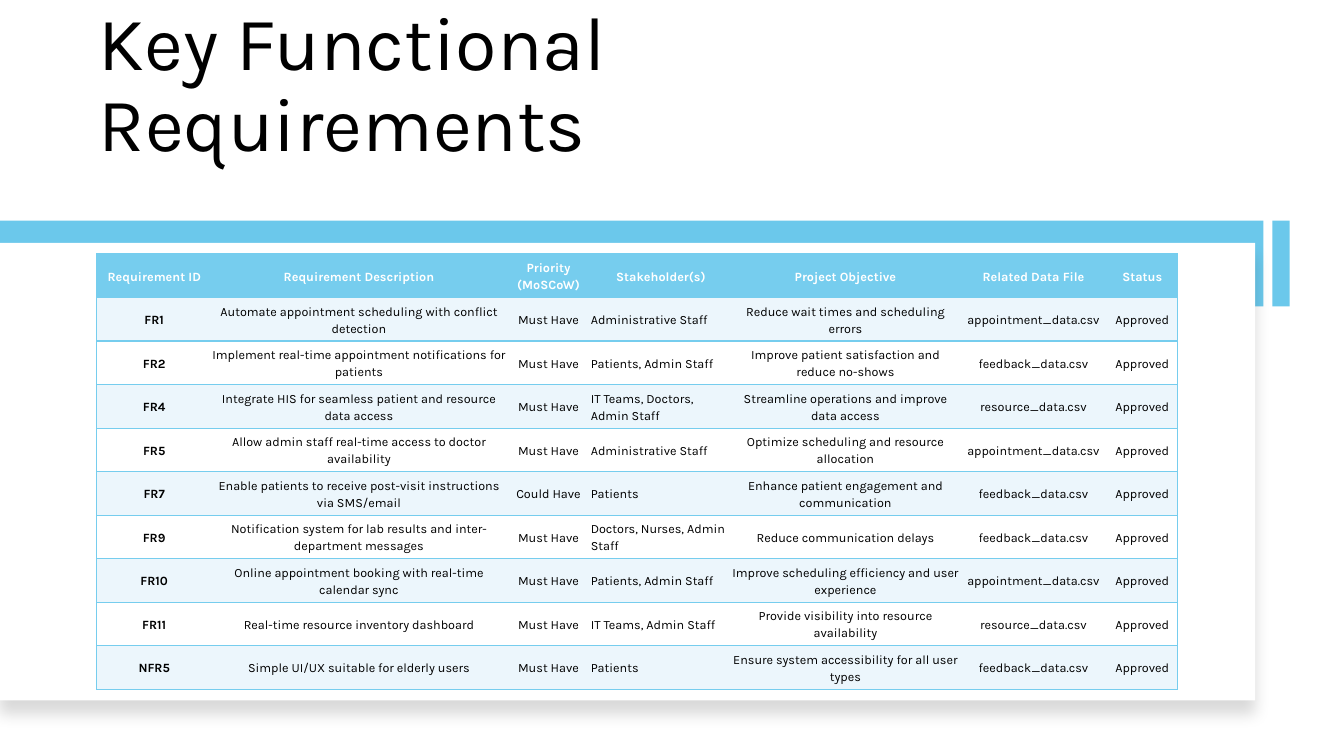
from dataclasses import astuple, dataclass

from lxml import etree
from pptx import Presentation, util as u
from pptx.dml.color import RGBColor
from pptx.enum import shapes, text
from pptx.oxml import ns

WIDE, HIGH = u.Inches(13.33), u.Inches(7.5)
FONT = "Karla"
INK = {"bar": "6BC8EB", "head": "76CDEE", "band": "ECF6FC",
       "white": "FFFFFF", "black": "000000"}
MID, LEFT = text.PP_ALIGN.CENTER, text.PP_ALIGN.LEFT


@dataclass
class Box:
    """Place and size as percent of the slide's width and height."""
    x: float
    y: float
    w: float
    h: float

    def emu(self) -> tuple:
        return across(self.x), down(self.y), across(self.w), down(self.h)


@dataclass
class Need:
    code: str
    task: str
    staff: str
    goal: str
    data: str
    rank: str = "Must Have"
    state: str = "Approved"

    def cells(self) -> tuple:
        return (self.code, self.task, self.rank, self.staff,
                self.goal, self.data, self.state)


TITLE = Box(6.6, 5.6, 75.77, 17.33)
TAB = Box(92.12, 33.73, 6.38, 2.27)
BAR = Box(0, 29.2, 94, 11.33)
PANEL = Box(0, 32.13, 93.4, 60.53)
GRID = Box(7.2, 33.6, 80.42, 57.6)
COLS = (8.55, 21.91, 6.3, 10.43, 17.03, 10.95, 5.25)
STAFF = 3  # the left-aligned column

BOOK, VIEWS, STOCK = ("appointment_data.csv", "feedback_data.csv",
                      "resource_data.csv")
NEEDS = [
    Need("Requirement ID", "Requirement Description", "Stakeholder(s)",
         "Project Objective", "Related Data File", "Priority (MoSCoW)", "Status"),
    Need("FR1", "Automate appointment scheduling with conflict detection",
         "Administrative Staff", "Reduce wait times and scheduling errors", BOOK),
    Need("FR2", "Implement real-time appointment notifications for patients",
         "Patients, Admin Staff",
         "Improve patient satisfaction and reduce no-shows", VIEWS),
    Need("FR4", "Integrate HIS for seamless patient and resource data access",
         "IT Teams, Doctors, Admin Staff",
         "Streamline operations and improve data access", STOCK),
    Need("FR5", "Allow admin staff real-time access to doctor availability",
         "Administrative Staff", "Optimize scheduling and resource allocation", BOOK),
    Need("FR7", "Enable patients to receive post-visit instructions via SMS/email",
         "Patients", "Enhance patient engagement and communication", VIEWS,
         "Could Have"),
    Need("FR9", "Notification system for lab results and inter-department messages",
         "Doctors, Nurses, Admin Staff", "Reduce communication delays", VIEWS),
    Need("FR10", "Online appointment booking with real-time calendar sync",
         "Patients, Admin Staff",
         "Improve scheduling efficiency and user experience", BOOK),
    Need("FR11", "Real-time resource inventory dashboard",
         "IT Teams, Admin Staff",
         "Provide visibility into resource availability", STOCK),
    Need("NFR5", "Simple UI/UX suitable for elderly users", "Patients",
         "Ensure system accessibility for all user types", VIEWS),
]


def across(share: float) -> int:
    return round(WIDE * share / 100)


def down(share: float) -> int:
    return round(HIGH * share / 100)


def tint(name: str) -> RGBColor:
    return RGBColor.from_string(INK[name])


def child(node, tag: str, **attrs):
    return etree.SubElement(node, ns.qn(tag), attrs)


def write(frame, words: str, *, size: float, ink: str = "black",
          bold: bool = False, align=LEFT, line: float = 1.0, after: float = 0):
    """Fill a text frame with one formatted paragraph."""
    frame.word_wrap = True
    par = frame.paragraphs[0]
    par.alignment, par.line_spacing = align, line
    par.space_before, par.space_after = u.Pt(0), u.Pt(after)
    run = par.add_run()
    run.text = words
    run.font.name, run.font.size, run.font.bold = FONT, u.Pt(size), bold
    run.font.color.rgb = tint(ink)


def block(tree, box: Box, ink: str, turn: float = 0):
    """Draw a plain filled rectangle."""
    rect = tree.add_shape(shapes.MSO_SHAPE.RECTANGLE, *box.emu())
    rect.rotation = turn
    rect.shadow.inherit = False
    rect.fill.solid()
    rect.fill.fore_color.rgb = tint(ink)
    rect.line.fill.background()
    return rect


def shade(rect) -> None:
    """Add a soft shadow below a shape."""
    glow = rect._element.spPr.find(ns.qn("a:effectLst"))
    drop = child(glow, "a:outerShdw", blurRad=str(u.Pt(11)), dist=str(u.Pt(10)),
                 dir="5400000", algn="t", rotWithShape="0")
    child(child(drop, "a:srgbClr", val=INK["black"]), "a:alpha", val="15000")


def edge(cell, sides: str) -> None:
    """Rule the named sides of a cell and clear the others."""
    props = cell._tc.get_or_add_tcPr()
    for side in "LRTB":
        rule = child(props, f"a:ln{side}", w=str(u.Pt(1)))
        if side in sides:
            child(child(rule, "a:solidFill"), "a:srgbClr", val=INK["head"])
        else:
            child(rule, "a:noFill")


def fill_cell(cell, words: str, row: int, col: int) -> None:
    cell.margin_left = cell.margin_right = cell.margin_top = cell.margin_bottom = 0
    cell.vertical_anchor = text.MSO_ANCHOR.MIDDLE
    edge(cell, "TB" + {0: "L", len(COLS) - 1: "R"}.get(col, ""))
    cell.fill.solid()
    cell.fill.fore_color.rgb = tint(
        "head" if row == 0 else "band" if row % 2 else "white")
    write(cell.text_frame, words, size=9, ink="black" if row else "white",
          bold=row == 0 or col == 0, line=1.15, after=8,
          align=LEFT if row and col == STAFF else MID)


def draw_grid(slide) -> None:
    table = slide.shapes.add_table(len(NEEDS), len(COLS), *GRID.emu()).table
    table.first_row = table.horz_banding = False
    for col, share in zip(table.columns, COLS):
        col.width = across(share)
    for row, need in enumerate(NEEDS):
        table.rows[row].height = down(GRID.h / len(NEEDS))
        for col, words in enumerate(need.cells()):
            fill_cell(table.cell(row, col), words, row, col)


def main() -> None:
    deck = Presentation()
    deck.slide_width, deck.slide_height = WIDE, HIGH
    slide = deck.slides.add_slide(deck.slide_layouts[5])

    # Title
    title = slide.shapes.title
    title.left, title.top, title.width, title.height = TITLE.emu()
    frame = title.text_frame
    frame.auto_size = text.MSO_AUTO_SIZE.NONE
    frame.vertical_anchor = text.MSO_ANCHOR.BOTTOM
    write(frame, "Key Functional Requirements", size=54, line=0.9)

    # Blue band and white panel
    band = slide.shapes.add_group_shape()
    block(band.shapes, TAB, "bar", turn=90)
    block(band.shapes, BAR, "bar")
    shade(block(slide.shapes, PANEL, "white"))

    # Requirements
    draw_grid(slide)
    deck.save("out.pptx")


if __name__ == "__main__":
    main()
